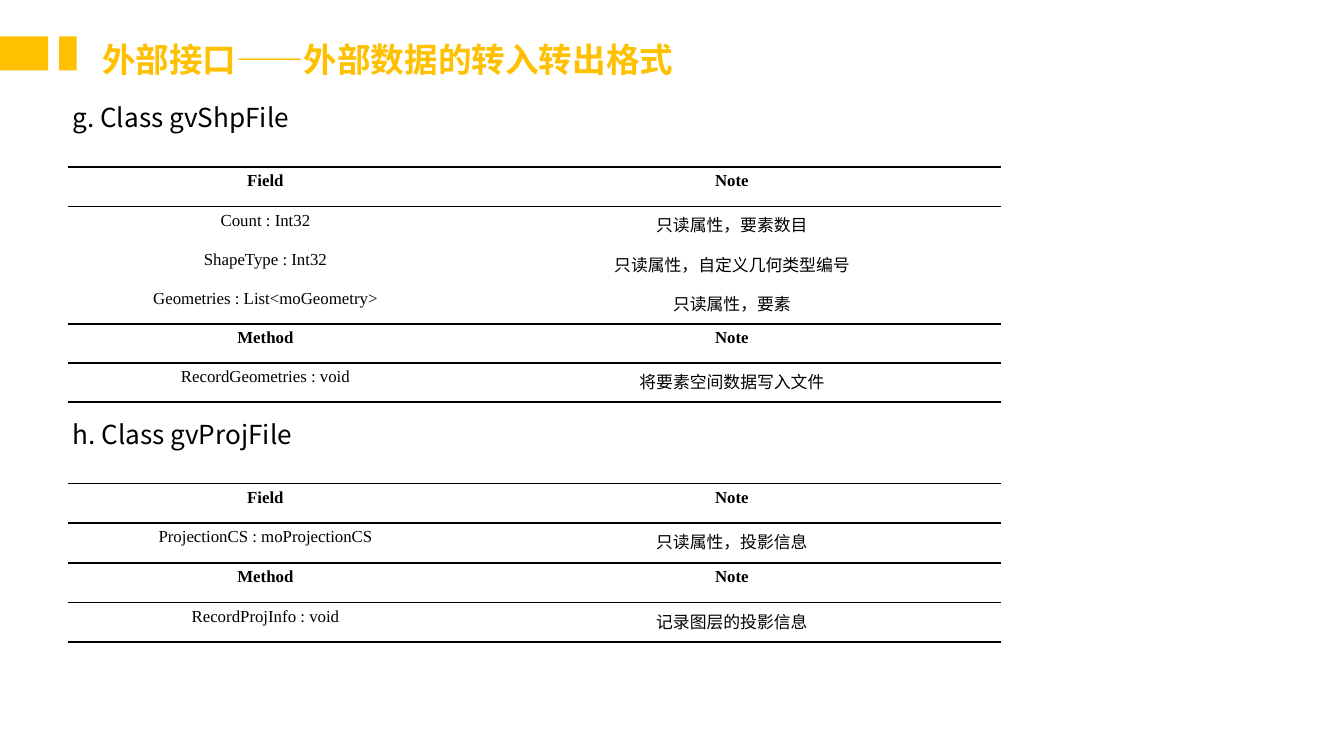
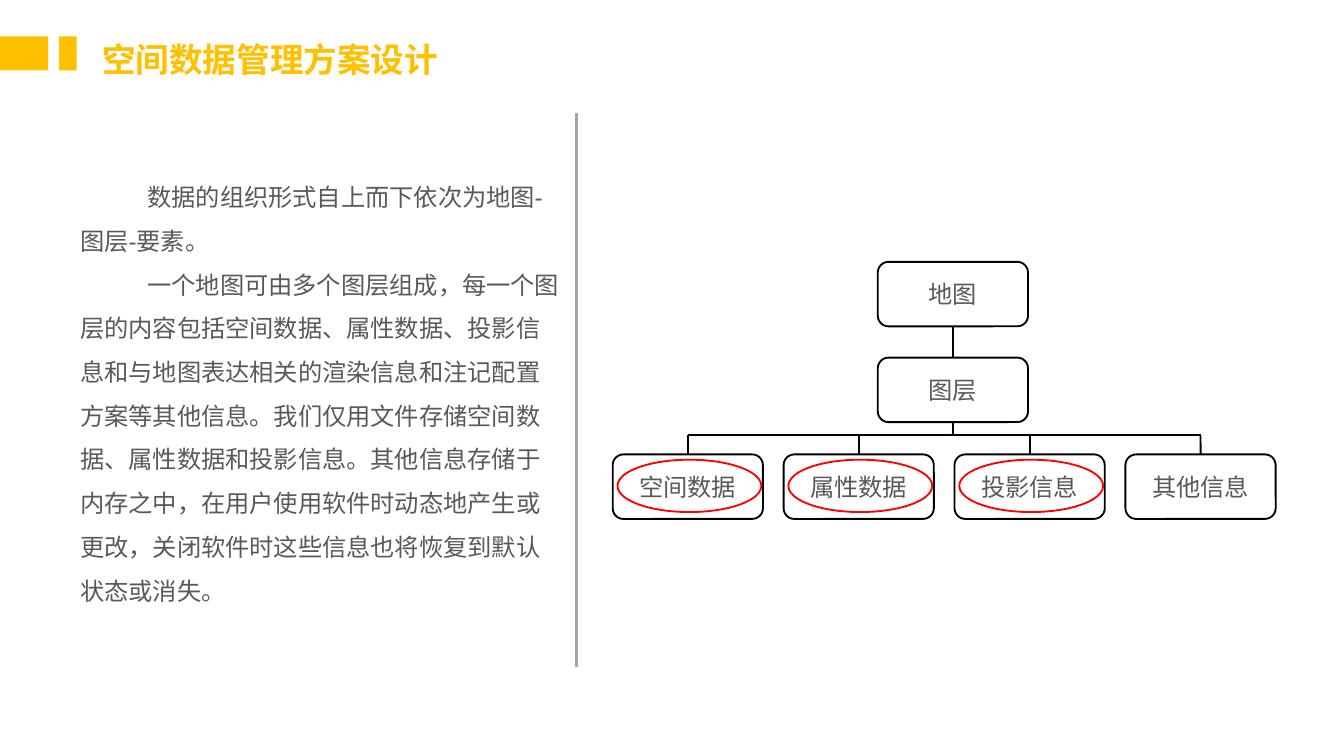
from lxml.etree import SubElement
from pptx import Presentation
from pptx.dml.color import RGBColor
from pptx.enum.shapes import MSO_CONNECTOR, MSO_SHAPE as Preset
from pptx.enum.text import MSO_ANCHOR, MSO_AUTO_SIZE, PP_ALIGN
from pptx.oxml.ns import qn
from pptx.util import Cm, Pt

COLORS = {"accent": "FFC000", "ink": "000000", "body": "595959",
          "divider": "A5A5A5", "mark": "FF0000"}
CJK = "Noto Sans CJK SC"

SHP_ROWS = [
    ("Field", "Note"),
    ("Count : Int32", "只读属性，要素数目"),
    ("ShapeType : Int32", "只读属性，自定义几何类型编号"),
    ("Geometries : List<moGeometry>", "只读属性，要素"),
    ("Method", "Note"),
    ("RecordGeometries : void", "将要素空间数据写入文件"),
]
PROJ_ROWS = [
    ("Field", "Note"),
    ("ProjectionCS : moProjectionCS", "只读属性，投影信息"),
    ("Method", "Note"),
    ("RecordProjInfo : void", "记录图层的投影信息"),
]
ORGANIZATION = [
    "数据的组织形式自上而下依次为地图-图层-要素。",
    "一个地图可由多个图层组成，每一个图层的内容包括空间数据、属性数据、投影信息和与地图表达相关的"
    "渲染信息和注记配置方案等其他信息。我们仅用文件存储空间数据、属性数据和投影信息。其他信息存储于"
    "内存之中，在用户使用软件时动态地产生或更改，关闭软件时这些信息也将恢复到默认状态或消失。",
]
STORED = ["空间数据", "属性数据", "投影信息"]


def rgb(color):
    return RGBColor.from_string(COLORS[color])


def style(paragraph, size, color, face="Arial", bold=False):
    font = paragraph.font
    font.size, font.bold, font.name = Pt(size), bold, face
    font.color.rgb = rgb(color)
    SubElement(font._element, qn("a:ea"), typeface=CJK)


def add_preset(slide, preset, left, top, width, height, fill=None, outline=None):
    shape = slide.shapes.add_shape(preset, Cm(left), Cm(top), Cm(width), Cm(height))
    shape.shadow.inherit = False
    if fill:
        shape.fill.solid()
        shape.fill.fore_color.rgb = rgb(fill)
    else:
        shape.fill.background()
    if outline:
        shape.line.color.rgb = rgb(outline)
        shape.line.width = Pt(1)
    else:
        shape.line.fill.background()
    return shape


def add_line(slide, x1, y1, x2, y2, color="ink", weight=1):
    line = slide.shapes.add_connector(
        MSO_CONNECTOR.STRAIGHT, Cm(x1), Cm(y1), Cm(x2), Cm(y2))
    line.line.color.rgb = rgb(color)
    line.line.width = Pt(weight)
    SubElement(line._element.spPr, qn("a:effectLst"))
    return line


def add_text(slide, left, top, width, height, wrap=True):
    box = slide.shapes.add_textbox(Cm(left), Cm(top), Cm(width), Cm(height))
    frame = box.text_frame
    frame.word_wrap = wrap
    frame.auto_size = MSO_AUTO_SIZE.SHAPE_TO_FIT_TEXT
    return frame


def title_band(slide, title, width):
    for left, bar_width in ((0, 0.91), (1.12, 0.33)):
        add_preset(slide, Preset.RECTANGLE, left, 0.69, bar_width, 0.64, fill="accent")
    frame = add_text(slide, 1.75, 0.64, width, 0.97, wrap=False)
    frame.margin_left = frame.margin_right = Cm(0.18)
    frame.margin_top = frame.margin_bottom = Cm(0.1)
    frame.text = title
    style(frame.paragraphs[0], 18, "accent", bold=True)


def rule_cell(cell, above, below):
    properties = cell._tc.get_or_add_tcPr()
    for side, ruled in (("L", False), ("R", False), ("T", above), ("B", below)):
        edge = SubElement(properties, qn("a:ln" + side), w=str(Pt(1)))
        if ruled:
            ink = SubElement(edge, qn("a:solidFill"))
            SubElement(ink, qn("a:srgbClr"), val=COLORS["ink"])
        else:
            SubElement(edge, qn("a:noFill"))
    cell.fill.background()


def class_section(slide, top, heading, rows, row_height):
    frame = add_text(slide, 1.12, top, 9.37, 0.86)
    frame.text = heading
    style(frame.paragraphs[0], 14, "ink", CJK)

    table = slide.shapes.add_table(
        len(rows), 2, Cm(1.28), Cm(top + 1.36), Cm(17.63), Cm(row_height * len(rows))).table
    table.first_row = table.horz_banding = False
    table.columns[0].width, table.columns[1].width = Cm(7.47), Cm(10.16)
    headers = [note == "Note" for _, note in rows]
    ruled = [True]
    ruled += [above or below for above, below in zip(headers, headers[1:])]
    ruled += [True]
    for r, texts in enumerate(rows):
        table.rows[r].height = Cm(row_height)
        for c, text in enumerate(texts):
            cell = table.cell(r, c)
            cell.margin_left = cell.margin_right = Cm(0.18)
            cell.margin_top = cell.margin_bottom = 0
            rule_cell(cell, ruled[r], ruled[r + 1])
            cell.text = text
            paragraph = cell.text_frame.paragraphs[0]
            paragraph.alignment = PP_ALIGN.CENTER
            paragraph.line_spacing = 1.25
            style(paragraph, 9, "ink", "Times New Roman", headers[r])


def organization_text(slide, left, top, width, height):
    frame = add_text(slide, left, top, width, height)
    frame.text = "\n".join(ORGANIZATION)
    for paragraph in frame.paragraphs:
        properties = paragraph._p.get_or_add_pPr()
        properties.set("marL", "0")
        properties.set("indent", str(Cm(1.27)))
        paragraph.line_spacing = 1.5
        style(paragraph, 13, "body")


def data_tree(slide, left, top):
    node_width, node_height, pitch = 2.84, 1.22, 3.23
    root_left, leaf_top, bus = left + 5.01, top + 3.64, top + 3.28

    def node(text, x, y):
        shape = add_preset(slide, Preset.ROUNDED_RECTANGLE, x, y,
                           node_width, node_height, outline="ink")
        frame = shape.text_frame
        frame.text = text
        frame.vertical_anchor = MSO_ANCHOR.MIDDLE
        paragraph = frame.paragraphs[0]
        paragraph.alignment = PP_ALIGN.CENTER
        style(paragraph, 13, "body")
        return shape

    map_node = node("地图", root_left, top)
    layer_node = node("图层", root_left, top + 1.81)
    root_x = root_left + node_width / 2
    map_link = add_line(slide, root_x, top + node_height, root_x, top + 1.81)
    map_link.begin_connect(map_node, 2)
    map_link.end_connect(layer_node, 0)
    trunk = add_line(slide, root_x, top + 1.81 + node_height, root_x, bus)
    trunk.begin_connect(layer_node, 2)

    leaves = STORED + ["其他信息"]
    first_x = left + node_width / 2
    add_line(slide, first_x, bus, first_x + pitch * (len(leaves) - 1), bus)
    for i, text in enumerate(leaves):
        leaf_left = left + pitch * i
        leaf = node(text, leaf_left, leaf_top)
        x = first_x + pitch * i
        add_line(slide, x, bus, x, leaf_top).end_connect(leaf, 0)
        if text in STORED:
            add_preset(slide, Preset.OVAL, leaf_left + 0.09, leaf_top + 0.1,
                       2.72, 0.99, outline="mark")


def interface_slide(slide):
    title_band(slide, "外部接口——外部数据的转入转出格式", 11.28)
    class_section(slide, 1.8, "g. Class gvShpFile", SHP_ROWS, 0.74)
    class_section(slide, 7.78, "h. Class gvProjFile", PROJ_ROWS, 0.75)


def storage_slide(slide):
    title_band(slide, "空间数据管理方案设计", 6.81)
    organization_text(slide, 1.27, 3.05, 9.63, 8.48)
    data_tree(slide, 11.58, 4.95)
    add_line(slide, 10.9, 2.13, 10.9, 12.6, "divider", 1.5)


def main():
    deck = Presentation()
    deck.slide_width, deck.slide_height = Cm(25.4), Cm(14.29)
    for build in (interface_slide, storage_slide):
        build(deck.slides.add_slide(deck.slide_layouts[6]))
    deck.save("out.pptx")


if __name__ == "__main__":
    main()
